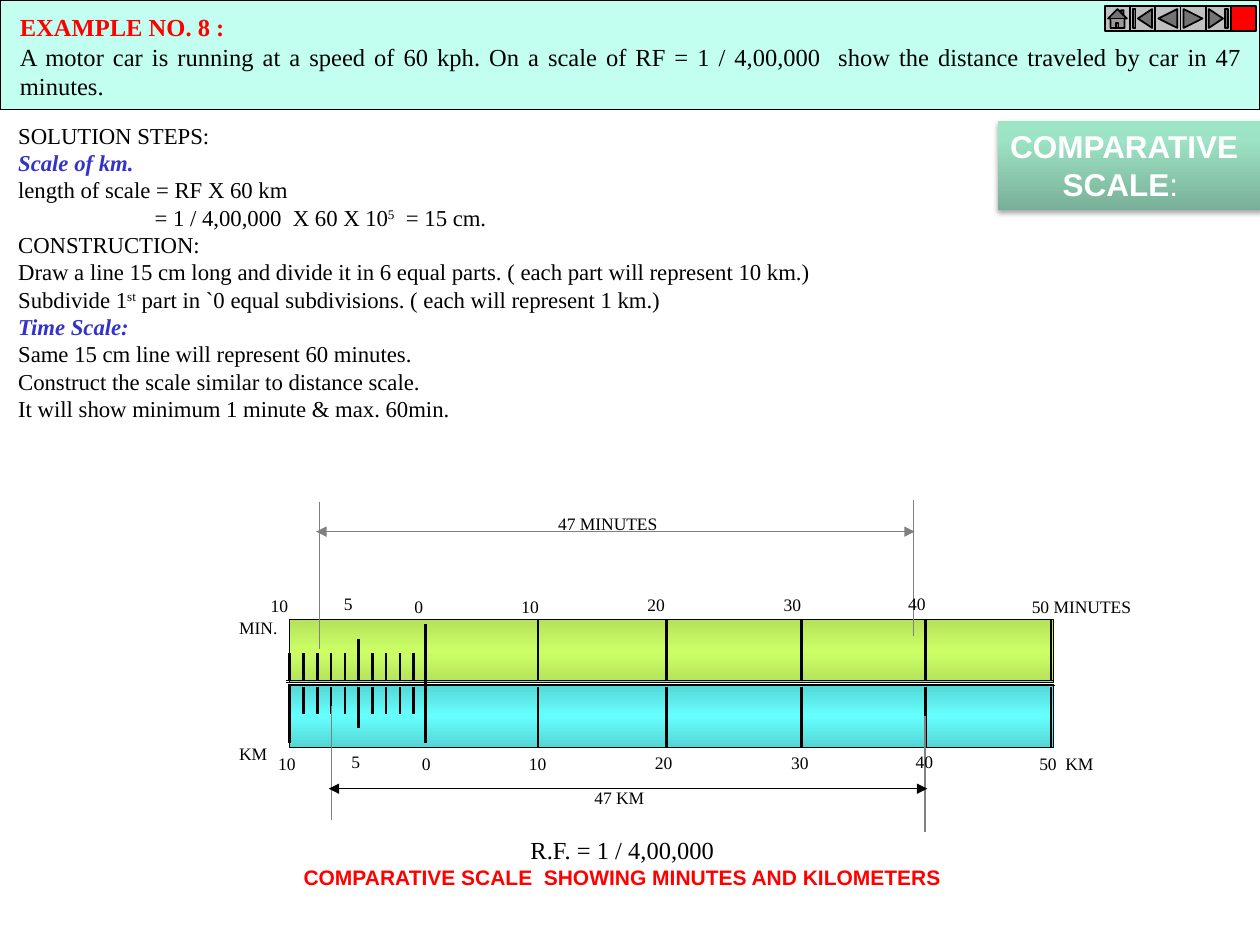
from copy import deepcopy
from lxml import etree
from pptx import Presentation
from pptx.dml.color import RGBColor as RGB
from pptx.enum.shapes import MSO_CONNECTOR as CONN, MSO_SHAPE as SHAPE
from pptx.enum.text import MSO_ANCHOR as ANCHOR, MSO_AUTO_SIZE as FIT, PP_ALIGN as AL
from pptx.oxml.ns import qn
from pptx.util import Pt

C = {
    "black": "000000", "white": "FFFFFF", "red": "FF0000", "blue": "3333CC",
    "mint": "C2FFF0", "gray": "808080", "button": "C0C0C0",
    "sea_dark": "79AF98", "sea": "9DE3C5", "sea_light": "9CE6C6",
    "cyan_dark": "55D5D5", "cyan": "66FFFF",
    "lime_dark": "B5E25B", "lime": "CCFF66",
}
TIMES, ARIAL = "Times New Roman", "Arial"


def add_line(x1, y1, x2, y2, color="black", width=1.5, arrows=False):
    c = s.shapes.add_connector(CONN.STRAIGHT, Pt(x1), Pt(y1), Pt(x2), Pt(y2))
    c.line.color.rgb = RGB.from_string(C[color])
    c.line.width = Pt(width)
    if arrows:
        ln = c.line._get_or_add_ln()
        for end in ("a:headEnd", "a:tailEnd"):
            etree.SubElement(ln, qn(end), type="triangle")
    etree.SubElement(c._element.spPr, qn("a:effectLst"))


def write(sp, paras, wrap=False):
    tf = sp.text_frame
    tf.word_wrap = wrap
    tf.vertical_anchor = ANCHOR.TOP
    for i, (runs, size, font, color, bold, align) in enumerate(paras):
        p = tf.paragraphs[0] if i == 0 else tf.add_paragraph()
        p.alignment = align
        for text in runs:
            p.add_run().text = text
        p.font.size, p.font.name, p.font.bold = Pt(size), font, bold
        p.font.color.rgb = RGB.from_string(C[color])
    return tf.paragraphs


prs = Presentation()
prs.slide_width, prs.slide_height = Pt(720), Pt(540)
s = prs.slides.add_slide(prs.slide_layouts[6])

boxes = {}
for name, x, y, w, h, stops, angle in [
    ("title", 570.2, 69.1, 151.2, 51.1,
     [(0, "sea_dark"), (0.8, "sea"), (1, "sea_light")], 90),
    ("km", 165.6, 391, 436.3, 36,
     [(0, "cyan_dark"), (0.5, "cyan"), (1, "cyan_dark")], 270),
    ("minutes", 165.6, 354.2, 436.3, 36,
     [(0, "lime_dark"), (0.5, "lime"), (1, "lime_dark")], 270),
]:
    sp = boxes[name] = s.shapes.add_shape(SHAPE.RECTANGLE, Pt(x), Pt(y), Pt(w), Pt(h))
    sp.shadow.inherit = False
    sp.fill.gradient()
    sp.fill.gradient_angle = angle
    gs = sp._element.spPr.find(".//" + qn("a:gsLst"))
    gs.append(deepcopy(gs[0]))
    for stop, (pos, color) in zip(sp.fill.gradient_stops, stops):
        stop.position = pos
        stop.color.rgb = RGB.from_string(C[color])
    if name == "title":
        sp.line.fill.background()
    else:
        sp.line.color.rgb = RGB.from_string(C["black"])
        sp.line.width = Pt(0.75)

effects = boxes["title"]._element.spPr.find(qn("a:effectLst"))
shadow = etree.SubElement(effects, qn("a:outerShdw"), blurRad=str(Pt(3.1)),
                          dist=str(Pt(1.8)), dir="5400000", rotWithShape="0")
shade = etree.SubElement(shadow, qn("a:srgbClr"), val=C["black"])
etree.SubElement(shade, qn("a:alpha"), val="35000")
title = write(boxes["title"], [
    (["COMPARATIVE"], 18, ARIAL, "white", True, AL.LEFT),
    (["SCALE", ":"], 18, ARIAL, "white", True, AL.LEFT),
])
title[1]._p.get_or_add_pPr().set("marL", str(Pt(30)))
title[1].runs[1].font.bold = False

for x, y, w, h, outlined in [(0, 0, 720, 62.6, True), (4.3, 3.6, 712.8, 57.6, False)]:
    header = s.shapes.add_shape(SHAPE.RECTANGLE, Pt(x), Pt(y), Pt(w), Pt(h))
    header.shadow.inherit = False
    header.fill.solid()
    header.fill.fore_color.rgb = RGB.from_string(C["mint"])
    if outlined:
        header.line.color.rgb = RGB.from_string(C["black"])
        header.line.width = Pt(0.75)
    else:
        header.line.fill.background()
write(header, [
    (["EXAMPLE NO. 8 :"], 14, TIMES, "red", True, AL.JUSTIFY),
    (["A motor car is running at a speed of 60 kph. On a scale of RF = 1 / 4,00,000  "
      "show the distance traveled by car in 47 minutes."], 14, TIMES, "black", False, AL.JUSTIFY),
], wrap=True)

steps = [
    ["SOLUTION STEPS:"],
    ["Scale of km."],
    ["length of scale = RF X 60 km"],
    ["= 1 / 4,00,000  X 60 X 10", "5", "  = 15 cm."],
    ["CONSTRUCTION:"],
    ["Draw a line 15 cm long and divide it in 6 equal parts. ( each part will represent 10 km.)"],
    ["Subdivide 1", "st", " part in `0 equal subdivisions. ( each will represent 1 km.)"],
    ["Time Scale:"],
    ["Same 15 cm line will represent 60 minutes."],
    ["Construct the scale similar to distance scale."],
    ["It will show minimum 1 minute & max. 60min."],
]
headings = (1, 7)
tb = s.shapes.add_textbox(Pt(3.3), Pt(65.9), Pt(527), Pt(180.7))
lines = write(tb, [
    (runs, 13, TIMES, "blue" if i in headings else "black", i in headings, AL.LEFT)
    for i, runs in enumerate(steps)
], wrap=True)
for i, p in enumerate(lines):
    pPr = p._p.get_or_add_pPr()
    pPr.set("marL", str(Pt(78 if i == 3 else 36)))
    pPr.set("indent", str(Pt(0 if i == 3 else -36)))
    p.font.italic = i in headings
    if len(p.runs) == 3:
        p.runs[1].font._element.set("baseline", "30000")

majors = [307.4, 380.9, 457.9, 529, 600.5]
for base, direction in [(392.4, 1), (388.8, -1)]:
    for i in range(10):
        x = 165.6 + 7.87 * i
        add_line(x, base, x, base + direction * (23.8 if i == 5 else 15.8))
    zero = base - 2.2 * direction
    add_line(243, zero, 243, zero + 34.6 * direction)
    for x in majors:
        add_line(x, base, x, base + 34.6 * direction)
add_line(165.6, 391, 165.6, 424.8)
for x1, x2, y in [(163.4, 601.9, 388.8), (163.4, 601.2, 390.2), (164.9, 602.6, 391.7)]:
    add_line(x1, y, x2, y, width=0.75)

widths = {"MIN.": 36.7, "KM": 31, "50  KM": 45.4, "50 MINUTES": 71.3,
          "47 MINUTES": 71.3, "47 KM": 43.2, "0": 19.4, "5": 19.4}
labels = [("MIN.", 129.6, 349.2), ("KM", 129.6, 421.2)]
for dx, dy, last in [(0, 0, "50  KM"), (-4.3, -90, "50 MINUTES")]:
    for text, x, y in [
        ("10", 151.9, 426.5), ("5", 193.7, 425.5), ("0", 234, 427), ("10", 295.2, 427),
        ("20", 367.2, 426.2), ("30", 445, 426.2), ("40", 516.2, 425.5), (last, 586.8, 427),
    ]:
        labels.append((text, x + dx, y + dy))
labels += [("47 MINUTES", 311.8, 289.4), ("47 KM", 332.6, 446.4)]

for x, y1, y2 in [(182.2, 370.8, 286.6), (522, 363.6, 285.8)]:
    add_line(x, y1, x, y2, "gray", 0.25)
for x, y1, y2 in [(189.4, 403.2, 468.7), (528.5, 409, 475.2)]:
    add_line(x, y1, x, y2, "gray", 0.75)
add_line(180.7, 303.8, 522.7, 303.8, "gray", 0.75, arrows=True)
add_line(187.9, 450.7, 529.9, 450.7, "black", 0.75, arrows=True)

for text, x, y in labels:
    tb = s.shapes.add_textbox(Pt(x), Pt(y), Pt(widths.get(text, 24.5)), Pt(19.4))
    write(tb, [([text], 10, TIMES, "black", False, AL.LEFT)])
    tb.text_frame.auto_size = FIT.SHAPE_TO_FIT_TEXT

caption = s.shapes.add_textbox(Pt(164.9), Pt(473.8), Pt(381.6), Pt(38.2))
write(caption, [
    (["R.F. = 1 / 4,00,000"], 14, TIMES, "black", False, AL.CENTER),
    (["COMPARATIVE SCALE  SHOWING MINUTES AND KILOMETERS"], 12, ARIAL, "red", True, AL.CENTER),
])

buttons = [
    SHAPE.ACTION_BUTTON_HOME, SHAPE.ACTION_BUTTON_BEGINNING,
    SHAPE.ACTION_BUTTON_BACK_OR_PREVIOUS, SHAPE.ACTION_BUTTON_FORWARD_OR_NEXT,
    SHAPE.ACTION_BUTTON_END, SHAPE.ACTION_BUTTON_CUSTOM,
]
for i, kind in enumerate(buttons):
    sp = s.shapes.add_shape(kind, Pt(631.4 + 14.4 * i), Pt(3.4), Pt(14.4), Pt(14.4))
    sp.shadow.inherit = False
    sp.fill.solid()
    color = "red" if kind == SHAPE.ACTION_BUTTON_CUSTOM else "button"
    sp.fill.fore_color.rgb = RGB.from_string(C[color])
    sp.line.color.rgb = RGB.from_string(C["black"])
    sp.line.width = Pt(1)

prs.save("out.pptx")
